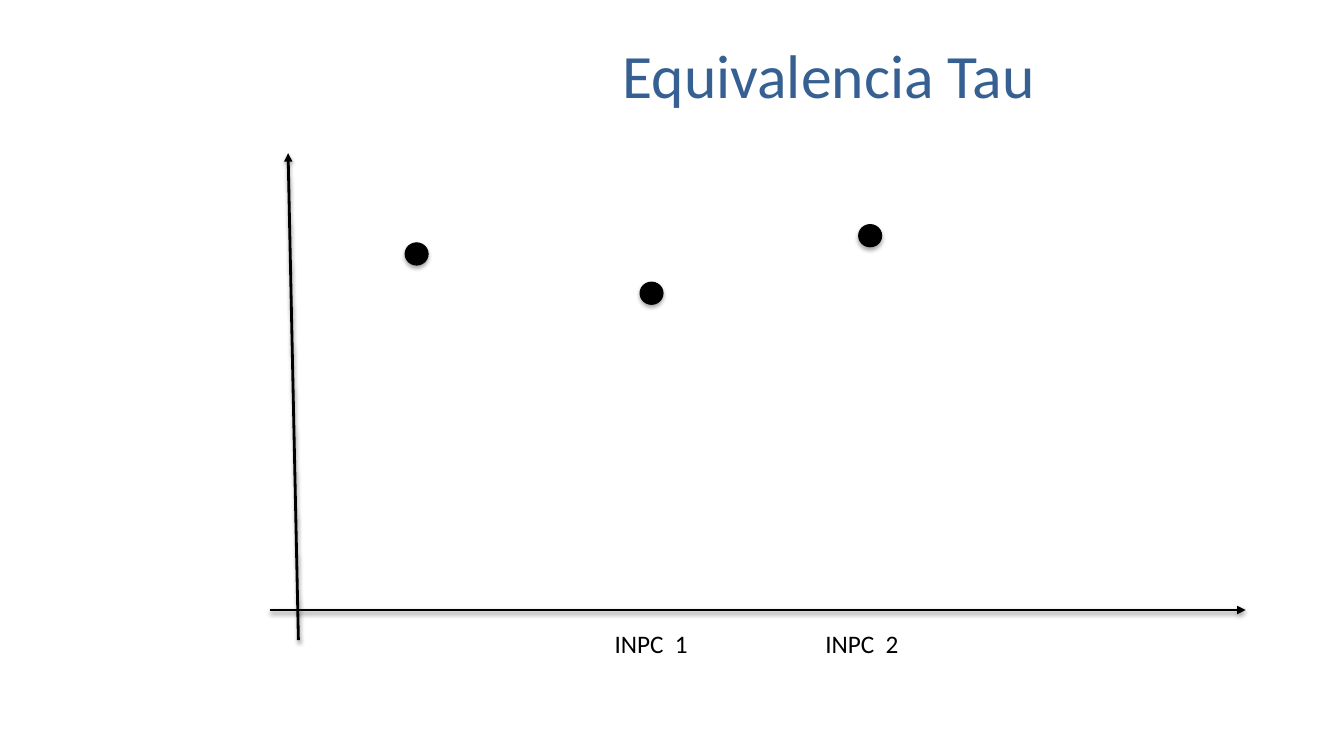
from dataclasses import dataclass

from lxml.etree import SubElement
from pptx import Presentation
from pptx.dml.color import RGBColor
from pptx.enum.shapes import MSO_CONNECTOR, MSO_SHAPE
from pptx.enum.text import MSO_ANCHOR, MSO_AUTO_SIZE, PP_ALIGN
from pptx.oxml.ns import qn
from pptx.util import Cm, Pt


@dataclass(frozen=True)
class Theme:
    font: str = "Calibri"
    title_color: RGBColor = RGBColor(0x37, 0x60, 0x92)
    ink: RGBColor = RGBColor(0, 0, 0)
    title_size: Pt = Pt(44)
    label_size: Pt = Pt(18)
    axis_width: Pt = Pt(2)
    dot_outline: Pt = Pt(0.75)


THEME = Theme()
LABEL_TOP = 15.7
LABELS = [("INPC  1", 15.24), ("INPC  2", 20.55)]
AXES = [(7.52, 16.13, 7.26, 3.86), (6.81, 15.37, 31.39, 15.37)]
DOTS = [(10.21, 6.12), (16.13, 7.11), (21.64, 5.66)]


def set_attrs(obj, values):
    for name, value in values.items():
        setattr(obj, name, value)


def write(tf, text, size, color, align):
    p = tf.paragraphs[0]
    p.alignment = align
    r = p.add_run()
    r.text = text
    set_attrs(r.font, {"name": THEME.font, "size": size})
    r.font.color.rgb = color


def add_shadow(sp, opacity, distance):
    props = sp._element.spPr
    effects = props.find(qn("a:effectLst"))
    if effects is None:
        effects = SubElement(props, qn("a:effectLst"))
    shadow = SubElement(effects, qn("a:outerShdw"), {
        "blurRad": str(Pt(3.1)), "dist": str(Pt(distance)),
        "dir": "5400000", "rotWithShape": "0"})
    color = SubElement(shadow, qn("a:srgbClr"), val=str(THEME.ink))
    SubElement(color, qn("a:alpha"), val=str(opacity * 1000))


def set_title(s, text):
    sp = s.shapes.title
    set_attrs(sp, {"left": Cm(9.6), "top": Cm(0.76),
                   "width": Cm(22.58), "height": Cm(2.18)})
    set_attrs(sp.text_frame, {"vertical_anchor": MSO_ANCHOR.MIDDLE,
                              "word_wrap": True})
    write(sp.text_frame, text, THEME.title_size, THEME.title_color,
          PP_ALIGN.CENTER)


def add_label(s, text, left):
    sp = s.shapes.add_textbox(Cm(left), Cm(LABEL_TOP), Cm(3.05), Cm(1.02))
    set_attrs(sp.text_frame, {"word_wrap": True,
                              "auto_size": MSO_AUTO_SIZE.SHAPE_TO_FIT_TEXT})
    write(sp.text_frame, text, THEME.label_size, THEME.ink, PP_ALIGN.LEFT)


def add_axis(s, *ends):
    line = s.shapes.add_connector(MSO_CONNECTOR.STRAIGHT, *map(Cm, ends))
    line.line.color.rgb = THEME.ink
    line.line.width = THEME.axis_width
    SubElement(line.line._get_or_add_ln(), qn("a:tailEnd"), type="triangle")
    add_shadow(line, 38, 1.6)


def add_dot(s, left, top):
    sp = s.shapes.add_shape(MSO_SHAPE.OVAL, Cm(left), Cm(top),
                            Cm(0.58), Cm(0.56))
    sp.shadow.inherit = False
    sp.fill.solid()
    sp.fill.fore_color.rgb = THEME.ink
    sp.line.color.rgb = THEME.ink
    sp.line.width = THEME.dot_outline
    add_shadow(sp, 35, 1.8)


def main():
    prs = Presentation()
    set_attrs(prs, {"slide_width": Cm(33.87), "slide_height": Cm(19.05)})
    s = prs.slides.add_slide(prs.slide_layouts.get_by_name("Title Only"))
    set_title(s, "Equivalencia Tau")
    for axis in AXES:
        add_axis(s, *axis)
    for text, left in LABELS:
        add_label(s, text, left)
    for dot in DOTS:
        add_dot(s, *dot)
    prs.save("out.pptx")


if __name__ == "__main__":
    main()
